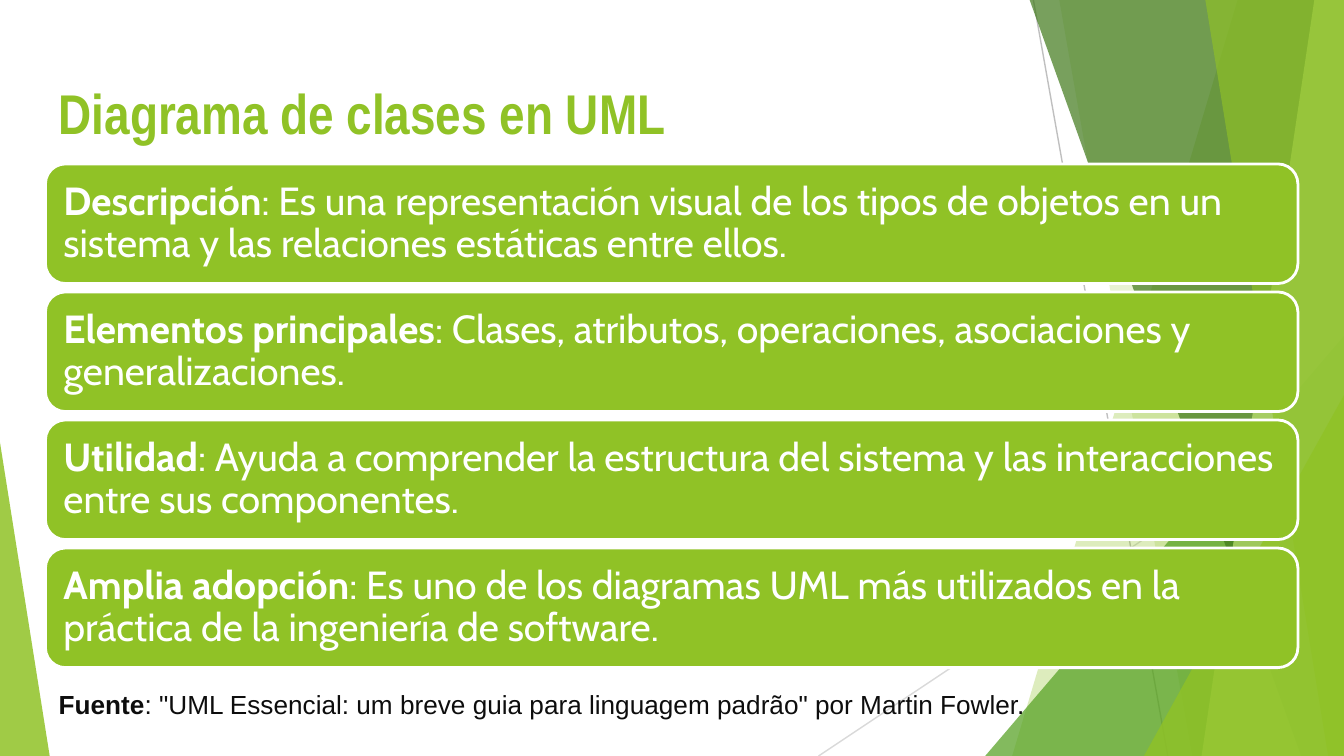
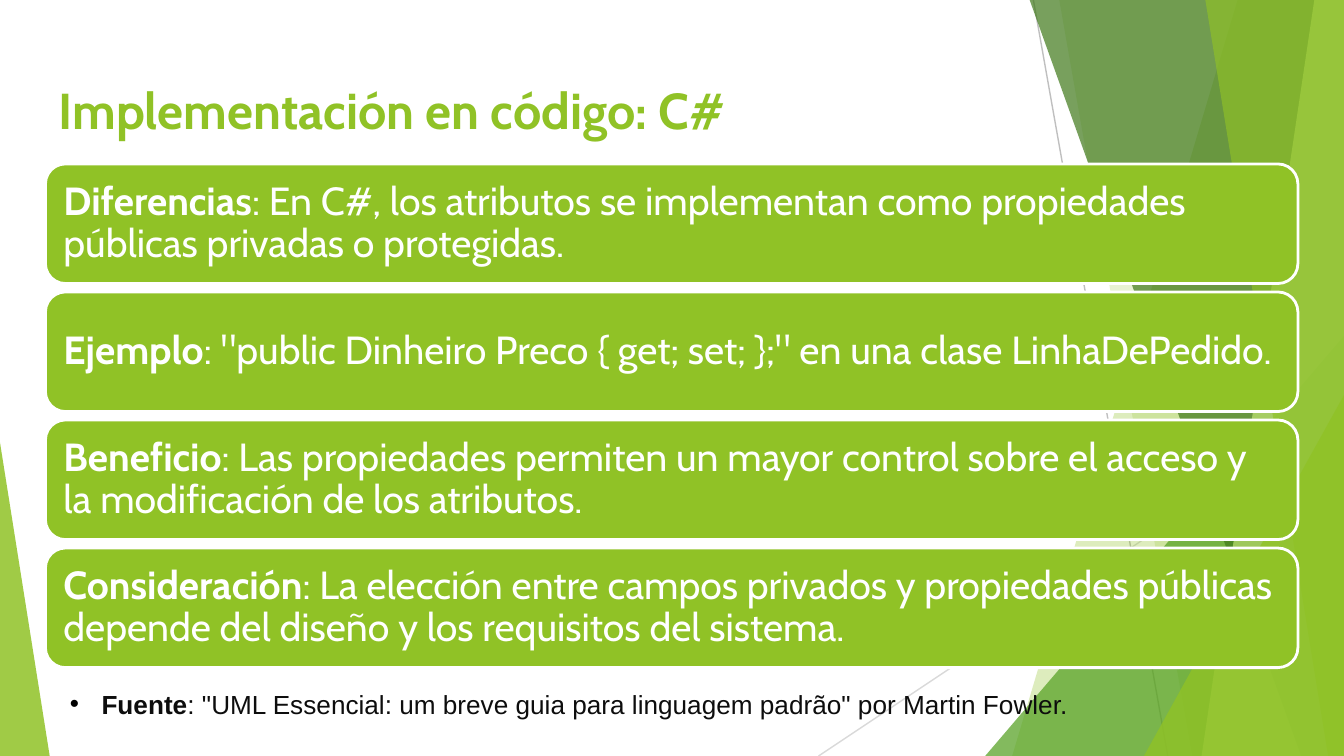
import pptx
import pptx.util
import pptx.dml.color
import pptx.enum.shapes
import pptx.enum.text
import pptx.oxml
import pptx.oxml.ns
from lxml import etree

Cm, Pt = pptx.util.Cm, pptx.util.Pt
SHAPE = pptx.enum.shapes.MSO_SHAPE
ANCHOR = pptx.enum.text.MSO_ANCHOR
ALIGN = pptx.enum.text.PP_ALIGN
qn = pptx.oxml.ns.qn

WIDTH, HEIGHT = 25.4, 14.29
MARGIN, CONTENT_WIDTH = 0.86, 23.67
CARD_TOP, CARD_HEIGHT, CARD_PITCH = 3.1, 2.26, 2.42
GREEN, WHITE, INK = "90C226", "FFFFFF", "0D0D0D"

SOURCE = ("Fuente", '"UML Essencial: um breve guia para linguagem padrão" por Martin Fowler.')

CLASS_DIAGRAM = [
    ("Descripción", "Es una representación visual de los tipos de objetos en un sistema "
                    "y las relaciones estáticas entre ellos."),
    ("Elementos principales", "Clases, atributos, operaciones, asociaciones y generalizaciones."),
    ("Utilidad", "Ayuda a comprender la estructura del sistema y las interacciones "
                 "entre sus componentes."),
    ("Amplia adopción", "Es uno de los diagramas UML más utilizados en la práctica "
                        "de la ingeniería de software."),
]
CSHARP_CODE = [
    ("Diferencias", "En C#, los atributos se implementan como propiedades públicas "
                    "privadas o protegidas."),
    ("Ejemplo", '"public Dinheiro Preco { get; set; };" en una clase LinhaDePedido.'),
    ("Beneficio", "Las propiedades permiten un mayor control sobre el acceso "
                  "y la modificación de los atributos."),
    ("Consideración", "La elección entre campos privados y propiedades públicas "
                      "depende del diseño y los requisitos del sistema."),
]


def rgb(color):
    return pptx.dml.color.RGBColor.from_string(color)


def fill_shape(sp, color, opacity=100):
    """Solid fill without outline or shadow; opacity in percent."""
    sp.shadow.inherit = False
    sp.line.fill.background()
    sp.fill.solid()
    sp.fill.fore_color.rgb = rgb(color)
    if opacity < 100:
        clr = sp.fill._xPr.find(".//" + qn("a:srgbClr"))
        etree.SubElement(clr, qn("a:alpha"), val=str(opacity * 1000))


def add_line(s, x1, y1, x2, y2, color):
    line = s.shapes.add_connector(pptx.enum.shapes.MSO_CONNECTOR.STRAIGHT,
                                  Cm(x1), Cm(y1), Cm(x2), Cm(y2))
    line.line.color.rgb = rgb(color)
    line.line.width = Pt(0.75)
    etree.SubElement(line._element.spPr, qn("a:effectLst"))


def add_band(s, top_x, bottom_x, color, opacity):
    """Full-height band from a slanted left edge to the right slide edge."""
    builder = s.shapes.build_freeform(Cm(top_x), 0)
    builder.add_line_segments([(Cm(WIDTH), 0), (Cm(WIDTH), Cm(HEIGHT)), (Cm(bottom_x), Cm(HEIGHT))])
    fill_shape(builder.convert_to_shape(), color, opacity)


def add_corner(s, left, top, width, tip, color, opacity):
    """Right triangle standing on the bottom edge; tip is 0 (left) or 1 (right)."""
    sp = s.shapes.add_shape(SHAPE.ISOSCELES_TRIANGLE, Cm(left), Cm(top), Cm(width), Cm(HEIGHT - top))
    sp.adjustments[0] = tip
    fill_shape(sp, color, opacity)


def add_backdrop(s):
    add_line(s, 19.53, 0, 22.07, HEIGHT, "BFBFBF")
    add_line(s, WIDTH, 7.67, 15.47, HEIGHT, "D9D9D9")
    add_band(s, 23.39, 19.13, GREEN, 30)
    add_band(s, 20.02, 22.53, GREEN, 20)
    add_corner(s, 18.62, 6.35, WIDTH - 18.62, 1, "54A021", 72)
    add_band(s, 19.46, 24.59, "3F7819", 70)
    add_band(s, 24.84, 22.71, "C0E474", 70)
    add_band(s, 22.78, 25.1, GREEN, 65)
    add_corner(s, 21.62, 7.47, WIDTH - 21.62, 1, GREEN, 80)
    add_corner(s, 0, 8.36, 0.94, 0, GREEN, 85)


def format_run(r, font, size, color, bold):
    r.font.name = font
    r.font.size = Pt(size)
    r.font.color.rgb = rgb(color)
    r.font.bold = bold


def set_inset(tf, inset):
    tf.margin_left = tf.margin_right = tf.margin_top = tf.margin_bottom = Cm(inset)


def write_labelled(p, label, text, font, size, color):
    """Bold label, then a colon and regular text."""
    for words, bold in ((label, True), (": " + text, False)):
        r = p.add_run()
        r.text = words
        format_run(r, font, size, color, bold)


def add_bullet(p, indent):
    pPr = p._p.get_or_add_pPr()
    pPr.set("marL", str(Cm(indent)))
    pPr.set("indent", str(-Cm(indent)))
    clr = etree.SubElement(pPr, qn("a:buClr"))
    etree.SubElement(clr, qn("a:srgbClr"), val="000000")
    etree.SubElement(pPr, qn("a:buFont"), typeface="Arial")
    etree.SubElement(pPr, qn("a:buChar"), char="•")


def add_text_box(s, left, top, width, height):
    tf = s.shapes.add_textbox(Cm(left), Cm(top), Cm(width), Cm(height)).text_frame
    tf.word_wrap = True
    return tf


def add_title(s, text, font, size):
    tf = add_text_box(s, MARGIN, 1.24, CONTENT_WIDTH, 1.6)
    set_inset(tf, 0.25)
    tf.text = text
    format_run(tf.paragraphs[0].runs[0], font, size, GREEN, True)


def add_card(s, top, label, text):
    sp = s.shapes.add_shape(SHAPE.ROUNDED_RECTANGLE, Cm(MARGIN), Cm(top),
                            Cm(CONTENT_WIDTH), Cm(CARD_HEIGHT))
    fill_shape(sp, GREEN)
    sp.line.color.rgb = rgb(WHITE)
    sp.line.width = Pt(1.5)
    tf = sp.text_frame
    tf.word_wrap = True
    tf.vertical_anchor = ANCHOR.MIDDLE
    set_inset(tf, 0.23)
    p = tf.paragraphs[0]
    p.alignment = ALIGN.LEFT
    p.line_spacing = 0.9
    write_labelled(p, label, text, "Cabin", 21, WHITE)


def add_source(s, left, bulleted):
    p = add_text_box(s, left, 12.88, WIDTH - left, 0.86).paragraphs[0]
    if bulleted:
        add_bullet(p, 0.6)
    write_labelled(p, *SOURCE, "Arial", 14, INK)


def add_card_slide(prs, title, title_font, title_size, cards, source_left, bulleted):
    s = prs.slides.add_slide(prs.slide_layouts[6])
    add_backdrop(s)
    add_title(s, title, title_font, title_size)
    for i, (label, text) in enumerate(cards):
        add_card(s, CARD_TOP + i * CARD_PITCH, label, text)
    add_source(s, source_left, bulleted)


def main():
    prs = pptx.Presentation()
    prs.slide_width, prs.slide_height = Cm(WIDTH), Cm(HEIGHT)
    add_card_slide(prs, "Diagrama de clases en UML", "Arial Narrow", 30,
                   CLASS_DIAGRAM, MARGIN, False)
    add_card_slide(prs, "Implementación en código: C#", "Cabin", 27,
                   CSHARP_CODE, 1.07, True)
    prs.save("out.pptx")


if __name__ == "__main__":
    main()
